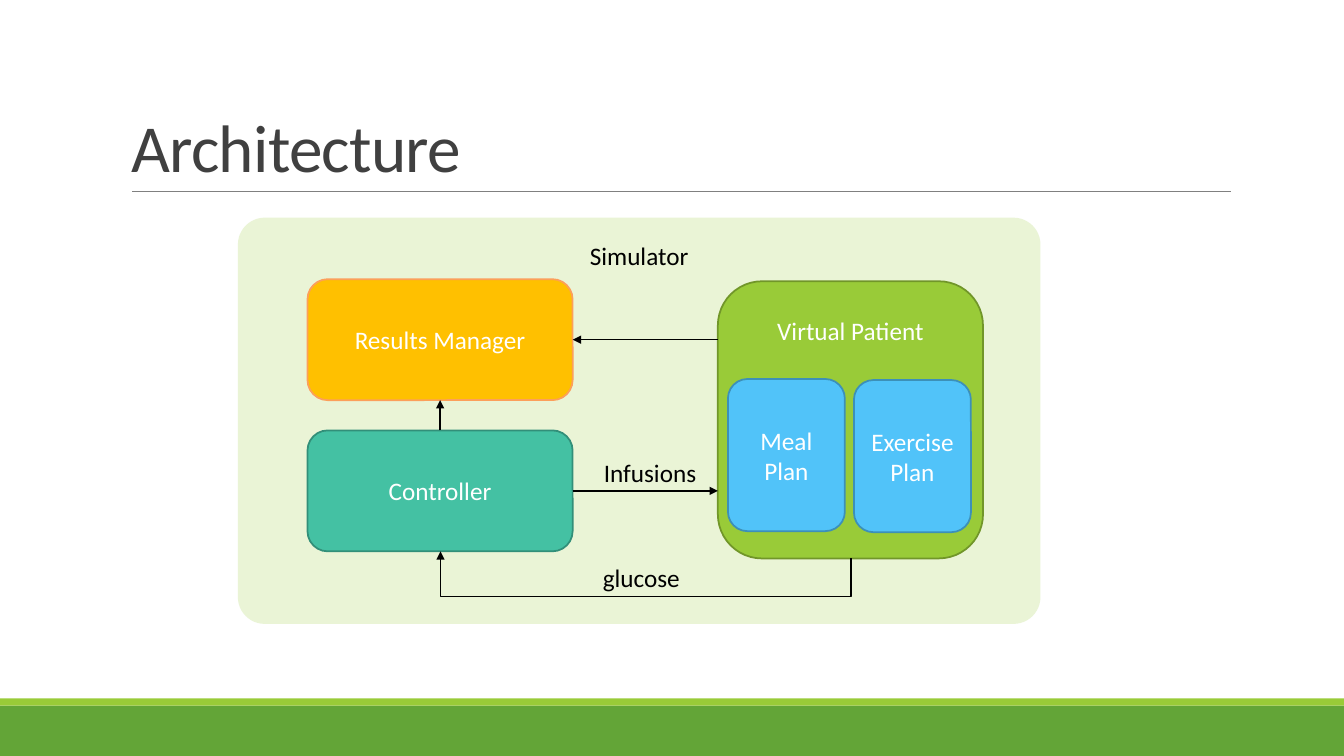
from lxml import etree
from pptx import Presentation
from pptx.dml.color import RGBColor
from pptx.enum.shapes import MSO_CONNECTOR, MSO_SHAPE
from pptx.enum.text import MSO_ANCHOR, MSO_AUTO_SIZE, PP_ALIGN
from pptx.oxml.ns import qn
from pptx.util import Inches, Pt

RECT, ROUND = MSO_SHAPE.RECTANGLE, MSO_SHAPE.ROUNDED_RECTANGLE
STRAIGHT, ELBOW = MSO_CONNECTOR.STRAIGHT, MSO_CONNECTOR.ELBOW
TOP, MIDDLE, BOTTOM = MSO_ANCHOR.TOP, MSO_ANCHOR.MIDDLE, MSO_ANCHOR.BOTTOM
LEFT, CENTER = PP_ALIGN.LEFT, PP_ALIGN.CENTER
NO_FIT = MSO_AUTO_SIZE.NONE

COLORS = {
    "white": "FFFFFF", "black": "000000", "title": "404040", "rule": "808080",
    "footer": "63A537", "lime": "99CB38", "lime_line": "719629",
    "panel": "D6EAAF", "blue": "51C3F9", "blue_line": "3C90B8",
    "teal": "44C1A3", "teal_line": "328F79",
    "amber": "FFC000", "amber_line": "FC9F5A",
}


def rgb(name):
    return RGBColor.from_string(COLORS[name])


class SlideBuilder:
    font = "Calibri"
    size = 18

    def __init__(self, slide):
        self.s = slide

    def set_text(self, sp, text, color="white", size=size, align=CENTER, **frame):
        tf = sp.text_frame
        settings = {"word_wrap": True, "auto_size": NO_FIT, "vertical_anchor": MIDDLE}
        for key, value in {**settings, **frame}.items():
            setattr(tf, key, value)
        p = tf.paragraphs[0]
        p.alignment = align
        r = p.add_run()
        r.text = text
        for key, value in {"name": self.font, "size": Pt(size), "bold": False}.items():
            setattr(r.font, key, value)
        r.font.color.rgb = rgb(color)
        return p

    def title(self, text, box):
        sp = self.s.shapes.title
        for key, value in zip(("left", "top", "width", "height"), box):
            setattr(sp, key, Inches(value))
        p = self.set_text(sp, text, "title", 48, LEFT, vertical_anchor=BOTTOM)
        p.line_spacing = 0.85
        p.runs[0]._r.get_or_add_rPr().set("spc", "-50")

    def shape(self, kind, box, fill, line=None, radius=None, alpha=None):
        sp = self.s.shapes.add_shape(kind, *map(Inches, box))
        sp.shadow.inherit = False
        sp.fill.solid()
        sp.fill.fore_color.rgb = rgb(fill)
        if alpha:
            color = sp._element.spPr.find(qn("a:solidFill"))[0]
            etree.SubElement(color, qn("a:alpha"), val=str(alpha * 1000))
        if line:
            sp.line.color.rgb = rgb(line)
            sp.line.width = Pt(1.25)
        else:
            sp.line.fill.background()
        if radius:
            sp.adjustments[0] = radius
        return sp

    def block(self, text, box, color):
        sp = self.shape(ROUND, box, color, f"{color}_line")
        self.set_text(sp, text)
        return sp

    def label(self, text, box):
        sp = self.s.shapes.add_textbox(*map(Inches, box))
        self.set_text(sp, text, "black", align=LEFT, vertical_anchor=TOP)

    def line(self, begin, end, color="black", width=1, kind=STRAIGHT, arrow=True):
        c = self.s.shapes.add_connector(kind, *map(Inches, (*begin, *end)))
        c.line.color.rgb = rgb(color)
        c.line.width = Pt(width)
        spPr = c._element.spPr
        if arrow:
            etree.SubElement(spPr.find(qn("a:ln")), qn("a:tailEnd"), type="triangle")
        etree.SubElement(spPr, qn("a:effectLst"))
        return c

    def loop_below(self, begin, end, drop):
        (x1, y1), (x2, y2) = begin, end
        mid_x, mid_y = (x1 + x2) / 2, (y1 + y2) / 2
        half_w, half_h = (y1 - y2) / 2, (x1 - x2) / 2
        c = self.line((mid_x + half_w, mid_y - half_h),
                      (mid_x - half_w, mid_y + half_h), kind=ELBOW)
        spPr = c._element.spPr
        spPr.find(qn("a:xfrm")).set("rot", "5400000")
        geometry = spPr.find(qn("a:prstGeom"))
        guides = geometry.find(qn("a:avLst"))
        if guides is None:
            guides = etree.SubElement(geometry, qn("a:avLst"))
        ratio = round(-drop / (y1 - y2) * 100000)
        etree.SubElement(guides, qn("a:gd"), name="adj1", fmla=f"val {ratio}")


def main():
    prs = Presentation()
    prs.slide_width, prs.slide_height = Inches(13.33), Inches(7.5)
    b = SlideBuilder(prs.slides.add_slide(prs.slide_layouts[5]))

    b.shape(RECT, (0, 7, 13.33, 0.5), "footer")
    b.shape(RECT, (0, 6.93, 13.33, 0.07), "lime")
    b.line((1.31, 1.9), (12.21, 1.9), "rule", 0.5, arrow=False)
    b.title("Architecture", (1.2, 0.31, 11, 1.59))

    panel = b.shape(ROUND, (2.36, 2.16, 7.96, 4.03), "panel", radius=0.066, alpha=50)
    b.set_text(panel, "Simulator", "black", vertical_anchor=TOP, margin_top=Inches(0.15))
    patient = b.shape(ROUND, (7.12, 2.79, 2.63, 2.75), "lime", "lime_line")
    b.set_text(patient, "Virtual Patient", vertical_anchor=TOP, margin_top=Inches(0.21))

    b.block("Meal Plan", (7.22, 3.76, 1.16, 1.51), "blue")
    b.block("Exercise Plan", (8.47, 3.77, 1.16, 1.51), "blue")
    controller = b.block("Controller", (3.05, 4.27, 2.63, 1.2), "teal")
    results = b.block("Results Manager", (3.05, 2.77, 2.63, 1.2), "amber")

    infusions = b.line((5.68, 4.87), (7.12, 4.87))
    infusions.begin_connect(controller, 3)
    log = b.line((4.37, 4.27), (4.37, 3.97))
    log.begin_connect(controller, 0)
    log.end_connect(results, 2)
    state = b.line((7.12, 3.37), (5.68, 3.37))
    state.end_connect(results, 3)
    b.loop_below((8.44, 5.54), (4.37, 5.47), 0.38)

    b.label("Infusions", (5.89, 4.49, 1.55, 0.4))
    b.label("glucose", (5.88, 5.53, 1.12, 0.4))
    prs.save("out.pptx")


if __name__ == "__main__":
    main()
